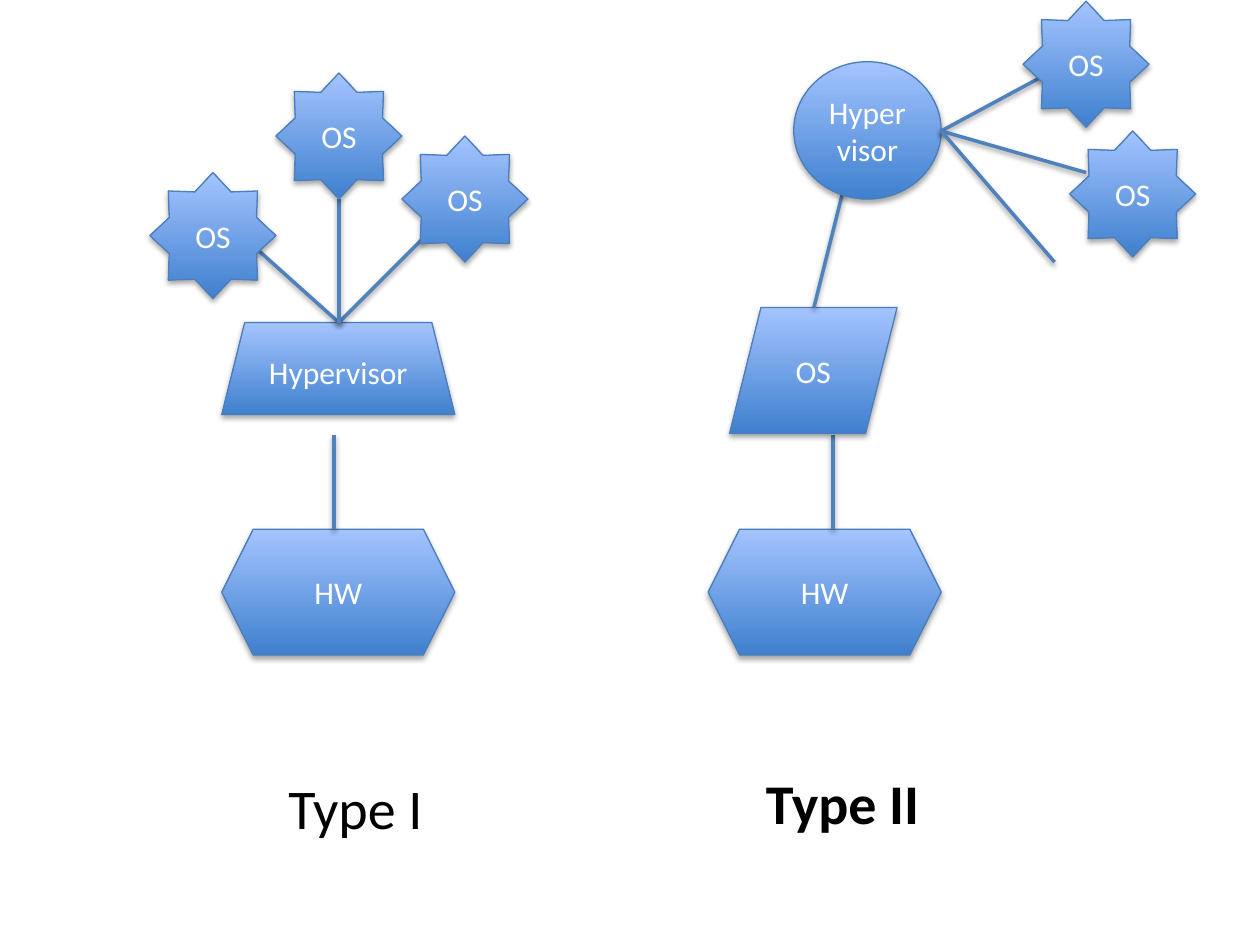
import pptx
import pptx.util
import pptx.dml.color
import pptx.enum.shapes
import pptx.enum.text
import pptx.oxml
import pptx.oxml.ns

Inches = pptx.util.Inches
Pt = pptx.util.Pt
SHAPE = pptx.enum.shapes.MSO_SHAPE
ALIGN = pptx.enum.text.PP_ALIGN
ANCHOR = pptx.enum.text.MSO_ANCHOR

LABEL = {"size": Pt(18), "name": "Calibri"}
CAPTION = {"size": Pt(32), "name": "Calibri"}
GRADIENT = [(0, "3F80CE"), (1, "A4C4FF")]


def color(value):
    return pptx.dml.color.RGBColor.from_string(value)


def set_values(target, values):
    for name, value in values.items():
        setattr(target, name, value)


def add_shadow(item, opacity, distance):
    properties = item._element.spPr
    for effects in properties.findall(pptx.oxml.ns.qn("a:effectLst")):
        properties.remove(effects)
    properties.append(pptx.oxml.parse_xml(
        f'<a:effectLst {pptx.oxml.ns.nsdecls("a")}>'
        f'<a:outerShdw blurRad="{Pt(3.15)}" dist="{Pt(distance)}" dir="5400000" rotWithShape="0">'
        f'<a:srgbClr val="000000"><a:alpha val="{opacity * 1000}"/></a:srgbClr>'
        '</a:outerShdw></a:effectLst>'))


def set_line(line, value, width):
    line.color.rgb = color(value)
    line.width = Pt(width)


def write_text(frame, text, font, value, align):
    para = frame.paragraphs[0]
    para.alignment = align
    span = para.add_run()
    span.text = text
    set_values(span.font, font)
    span.font.color.rgb = color(value)


def add_node(page, kind, text, left, top, width=1, height=1):
    node = page.shapes.add_shape(kind, Inches(left), Inches(top), Inches(width), Inches(height))
    node.fill.gradient()
    node.fill.gradient_angle = 90
    for stop, (position, value) in zip(node.fill.gradient_stops, GRADIENT):
        stop.position = position
        stop.color.rgb = color(value)
    set_line(node.line, "4B7EBC", 0.75)
    add_shadow(node, 35, 1.81)
    set_values(node.text_frame, {"word_wrap": True, "vertical_anchor": ANCHOR.MIDDLE})
    write_text(node.text_frame, text, LABEL, "FFFFFF", ALIGN.CENTER)


def add_link(page, start, end):
    link = page.shapes.add_connector(
        pptx.enum.shapes.MSO_CONNECTOR.STRAIGHT, *[Inches(value) for value in start + end])
    set_line(link.line, "4F81BD", 2)
    add_shadow(link, 38, 1.57)


def add_caption(page, text, left, top, width, bold):
    box = page.shapes.add_textbox(Inches(left), Inches(top), Inches(width), Inches(0.64))
    set_values(box.text_frame, {
        "word_wrap": False, "auto_size": pptx.enum.text.MSO_AUTO_SIZE.SHAPE_TO_FIT_TEXT})
    write_text(box.text_frame, text, {**CAPTION, "bold": bold}, "000000", ALIGN.LEFT)


def add_hardware(page, left, link_x):
    add_node(page, SHAPE.HEXAGON, "HW", left, 4.2, 1.85)
    add_link(page, (link_x, 4.2), (link_x, 3.45))


def add_guests(page, hub, link_ends, corners):
    for end in link_ends:
        add_link(page, hub, end)
    for left, top in corners:
        add_node(page, SHAPE.STAR_8_POINT, "OS", left, top)


def add_type_one(page):
    add_hardware(page, 1.76, 2.65)
    add_node(page, SHAPE.TRAPEZOID, "Hypervisor", 1.76, 2.56, 1.85, 0.73)
    add_guests(page, (2.69, 2.56), [(1.92, 1.87), (3.38, 1.87), (2.69, 1.58)],
               [(2.19, 0.58), (3.19, 1.08), (1.19, 1.37)])
    add_caption(page, "Type I", 2.19, 6.09, 1.32, False)


def add_type_two(page):
    add_hardware(page, 5.62, 6.61)
    add_node(page, SHAPE.PARALLELOGRAM, "OS", 5.79, 2.44, 1.33)
    add_link(page, (6.46, 2.44), (6.8, 1.08))
    add_node(page, SHAPE.OVAL, "Hypervisor", 6.3, 0.49, 1.17, 1.09)
    add_guests(page, (7.47, 1.04), [(8.49, 0.49), (8.62, 1.37), (8.37, 2.08)],
               [(8.12, 0.01), (8.49, 1.04)])
    add_caption(page, "Type II", 5.98, 6.05, 1.44, True)


def main():
    deck = pptx.Presentation()
    set_values(deck, {"slide_width": Inches(10), "slide_height": Inches(7.5)})
    page = deck.slides.add_slide(deck.slide_layouts[6])
    add_type_one(page)
    add_type_two(page)
    deck.save("out.pptx")


main()
